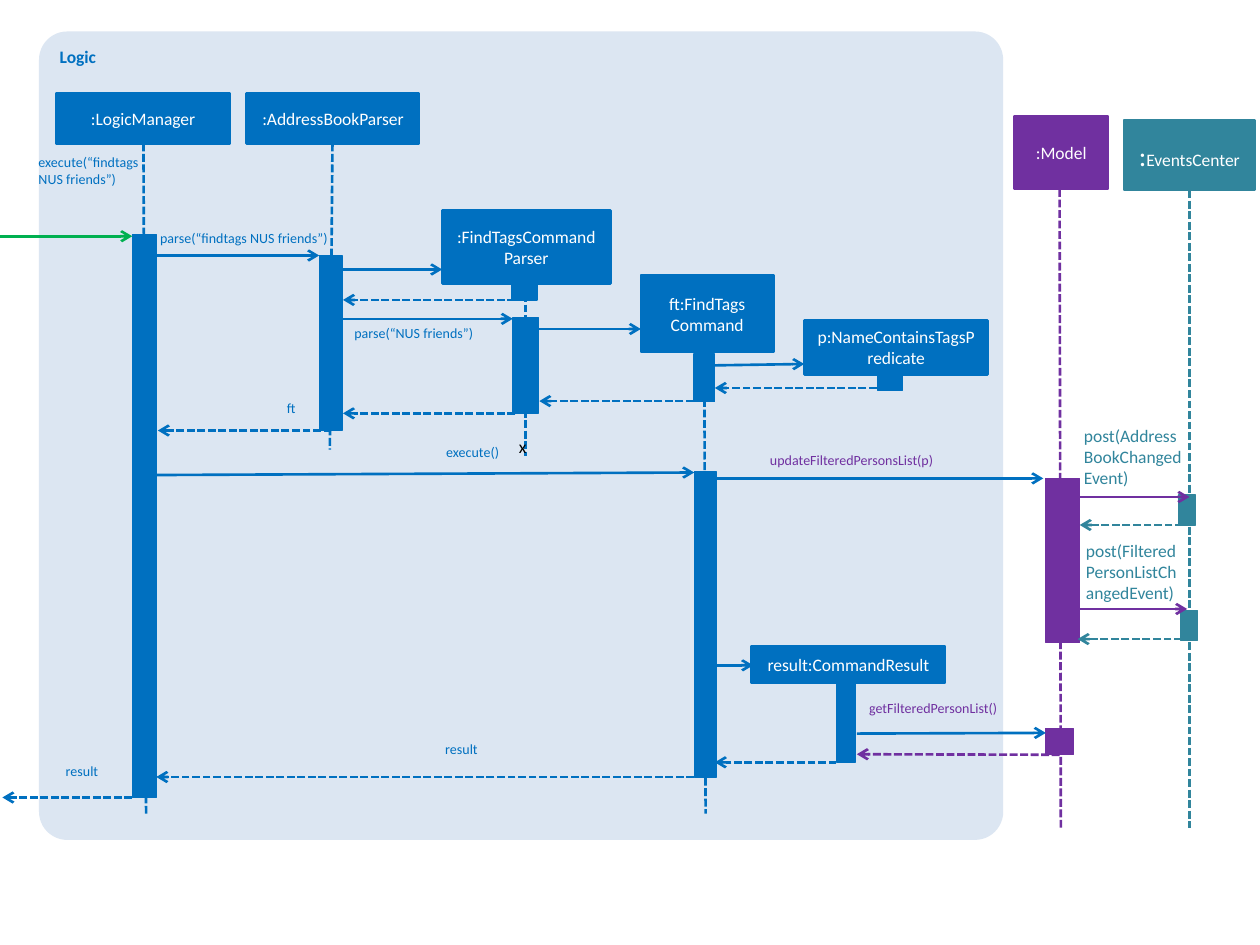
from lxml.etree import SubElement
from pptx import Presentation
from pptx.dml.color import RGBColor
from pptx.enum.dml import MSO_LINE
from pptx.enum.shapes import MSO_CONNECTOR, MSO_SHAPE
from pptx.enum.text import MSO_ANCHOR, PP_ALIGN
from pptx.oxml.ns import qn
from pptx.util import Pt

FONT = "Calibri"
BLUE = RGBColor(0x00, 0x70, 0xC0)
PURPLE = RGBColor(0x70, 0x30, 0xA0)
TEAL = RGBColor(0x31, 0x85, 0x9C)
GREEN = RGBColor(0x00, 0xB0, 0x50)
PALE = RGBColor(0xDC, 0xE6, 0xF2)
WHITE = RGBColor(0xFF, 0xFF, 0xFF)
BLACK = RGBColor(0x00, 0x00, 0x00)

# Lifelines: x1, y1, x2, y2, colour
LIFELINES = [
    (82, 82, 83.5, 465, BLUE),
    (190, 82, 188.5, 257, BLUE),
    (300.2, 162, 300.2, 260.6, BLUE),
    (402.5, 204, 403.2, 465, BLUE),
    (605.5, 108, 606.2, 473, PURPLE),
    (679.7, 108.7, 679.7, 473, TEAL),
]

# Participants: text, left, top, width, height, colour
PARTICIPANTS = [
    (":LogicManager", 32, 53.3, 99.5, 28.8, BLUE),
    (":AddressBookParser", 141, 53.3, 98.6, 28.8, BLUE),
    (":FindTagsCommandParser", 252.7, 120.2, 96, 41.8, BLUE),
    ("ft:FindTags Command", 366.2, 157.2, 75.8, 44, BLUE),
    ("p:NameContainsTagsPredicate", 459.8, 183, 104.6, 31, BLUE),
    ("result:CommandResult", 429.6, 369.2, 110.4, 21, BLUE),
    (":Model", 579.6, 66.3, 53.6, 41.7, PURPLE),
    (":EventsCenter", 642.4, 68.6, 74.4, 40, TEAL),
]

# Activation bars: left, top, width, height, colour
BARS = [
    (75.6, 134, 13.7, 321.8, BLUE),
    (182.4, 146, 13, 100, BLUE),
    (292.5, 161.5, 14.4, 10, BLUE),
    (293.2, 181.6, 14.4, 54.5, BLUE),
    (396.5, 202.3, 12, 27.3, BLUE),
    (396.8, 269.3, 12.4, 175, BLUE),
    (501.4, 213, 14.4, 10, BLUE),
    (478, 390, 11, 45.5, BLUE),
    (597.6, 273.4, 19.4, 94, PURPLE),
    (597.6, 416.3, 15.8, 15, PURPLE),
    (673.6, 282.8, 9.6, 17.3, TEAL),
    (674.6, 348.8, 9.6, 17.2, TEAL),
]

# Calls: x1, y1, x2, y2, colour
CALLS = [
    (0, 135, 75.6, 135, GREEN),
    (89.3, 146, 182.4, 146, BLUE),
    (195.6, 154, 252.7, 154, BLUE),
    (191, 182.2, 293, 182.2, BLUE),
    (307.5, 188, 366.2, 188, BLUE),
    (407, 208.8, 459.6, 208, BLUE),
    (83.5, 271.5, 396.7, 270, BLUE),
    (408.5, 273.4, 596.2, 273.4, BLUE),
    (401, 380.2, 430.4, 380.2, BLUE),
    (489.6, 419.2, 597.6, 418.8, BLUE),
    (614.2, 284, 679.7, 284, PURPLE),
    (613.5, 348, 678.4, 348, PURPLE),
]

# Returns: x1, y1, x2, y2, colour
RETURNS = [
    (294.5, 171.4, 196, 171.4, BLUE),
    (507, 221.7, 408.5, 221.7, BLUE),
    (402.5, 229.2, 308.2, 229.2, BLUE),
    (294.5, 236.2, 196, 236.2, BLUE),
    (189.4, 246, 90.2, 246, BLUE),
    (478, 435.6, 408.5, 435.6, BLUE),
    (396.7, 444, 89.3, 444, BLUE),
    (75.6, 455.7, 1.4, 455.7, BLUE),
    (605.5, 431.3, 489.6, 431, PURPLE),
    (676, 300, 617, 300, TEAL),
    (675.4, 365.2, 615.8, 365.2, TEAL),
]

# Labels: text, left, top, width, height, size, colour
LABELS = [
    ("execute(“findtags NUS friends”)", 22, 88, 60, 19.5, 8, BLUE),
    ("parse(“findtags NUS friends”)", 91.5, 131.2, 100, 9.6, 8, BLUE),
    ("parse(“NUS friends”)", 202.5, 185.6, 86.4, 15, 8, BLUE),
    ("ft", 164, 228.4, 16, 15, 8, BLUE),
    ("execute()", 255, 253.5, 64, 15, 8, BLUE),
    ("result", 254.4, 423.4, 34.6, 9.6, 8, BLUE),
    ("result", 37.6, 435.8, 64, 15, 8, BLUE),
    ("x", 296.6, 249, 9, 12, 10, BLACK),
    ("updateFilteredPersonsList(p)", 440, 258, 114.5, 15, 8, PURPLE),
    ("getFilteredPersonList()", 496.6, 400, 78.5, 9.6, 8, PURPLE),
    ("post(AddressBookChangedEvent)", 619.4, 242.8, 57, 36, 10, TEAL),
    ("post(FilteredPersonListChangedEvent)", 620.6, 308.8, 54.7, 36, 10, TEAL),
]


def style_font(font, size, color, bold=None):
    font.name = FONT
    font.size = Pt(size)
    font.color.rgb = color
    font.bold = bold


def add_box(s, kind, x, y, w, h, color, line_width=None):
    sp = s.shapes.add_shape(kind, Pt(x), Pt(y), Pt(w), Pt(h))
    sp.shadow.inherit = False
    sp.fill.solid()
    sp.fill.fore_color.rgb = color
    if line_width:
        sp.line.color.rgb = color
        sp.line.width = Pt(line_width)
    else:
        sp.line.fill.background()
    return sp


def add_frame(s):
    sp = add_box(s, MSO_SHAPE.ROUNDED_RECTANGLE, 22.3, 18, 551, 462, PALE)
    sp.adjustments[0] = 0.035
    tf = sp.text_frame
    tf.vertical_anchor = MSO_ANCHOR.TOP
    p = tf.paragraphs[0]
    p.alignment = PP_ALIGN.LEFT
    p.text = "Logic"
    style_font(p.font, 10, BLUE, bold=True)


def add_participant(s, text, x, y, w, h, color):
    sp = add_box(s, MSO_SHAPE.RECTANGLE, x, y, w, h, color, 1.5)
    tf = sp.text_frame
    tf.word_wrap = True
    tf.vertical_anchor = MSO_ANCHOR.MIDDLE
    p = tf.paragraphs[0]
    p.alignment = PP_ALIGN.CENTER
    style_font(p.font, 10, WHITE)
    if text == ":EventsCenter":  # its colon is larger
        r = p.add_run()
        r.text, text = text[0], text[1:]
        r.font.size = Pt(16)
    p.add_run().text = text


def add_line(s, x1, y1, x2, y2, color, dashed=False, arrow=False):
    cn = s.shapes.add_connector(MSO_CONNECTOR.STRAIGHT, Pt(x1), Pt(y1), Pt(x2), Pt(y2))
    cn.line.color.rgb = color
    cn.line.width = Pt(1.5)
    if dashed:
        cn.line.dash_style = MSO_LINE.SQUARE_DOT
    if arrow:
        SubElement(cn.line._get_or_add_ln(), qn("a:tailEnd"), type="arrow")
    SubElement(cn._element.spPr, qn("a:effectLst"))


def add_label(s, text, x, y, w, h, size, color):
    tf = s.shapes.add_textbox(Pt(x), Pt(y), Pt(w), Pt(h)).text_frame
    tf.word_wrap = True
    tf.margin_left = tf.margin_right = tf.margin_top = tf.margin_bottom = 0
    p = tf.paragraphs[0]
    p.text = text
    style_font(p.font, size, color)


def main():
    prs = Presentation()
    prs.slide_width, prs.slide_height = Pt(720), Pt(540)
    s = prs.slides.add_slide(prs.slide_layouts[6])

    add_frame(s)
    for lifeline in LIFELINES:
        add_line(s, *lifeline, dashed=True)
    for participant in PARTICIPANTS:
        add_participant(s, *participant)
    for bar in BARS:
        add_box(s, MSO_SHAPE.RECTANGLE, *bar, line_width=0.75)
    for call in CALLS:
        add_line(s, *call, arrow=True)
    for reply in RETURNS:
        add_line(s, *reply, dashed=True, arrow=True)
    for label in LABELS:
        add_label(s, *label)

    prs.save("out.pptx")


main()
